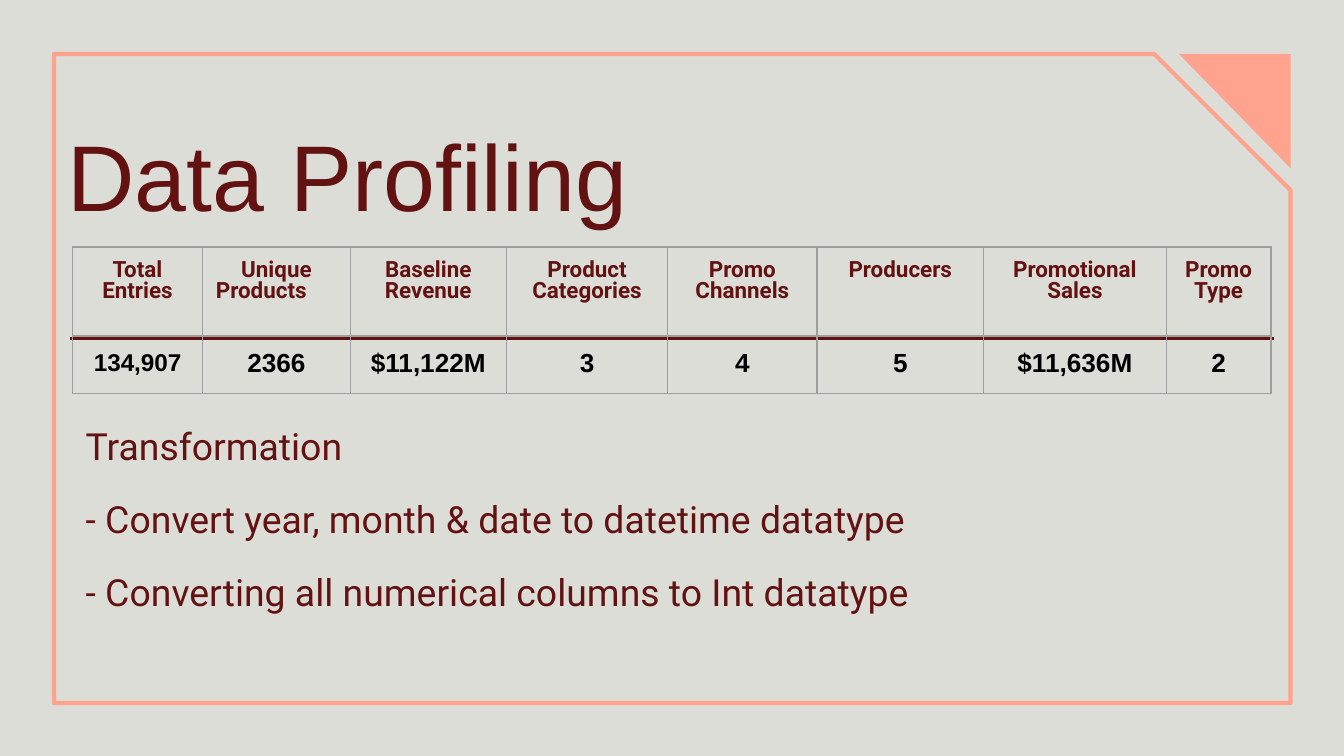
from dataclasses import dataclass
from typing import NamedTuple

from lxml import etree
from pptx import Presentation
from pptx.dml.color import RGBColor
from pptx.enum.shapes import MSO_CONNECTOR, MSO_SHAPE
from pptx.enum.text import MSO_ANCHOR, PP_ALIGN
from pptx.oxml.ns import qn
from pptx.util import Cm, Pt

SNIPPED = MSO_SHAPE.SNIP_1_RECTANGLE
TRIANGLE = MSO_SHAPE.RIGHT_TRIANGLE
STRAIGHT = MSO_CONNECTOR.STRAIGHT
TOP = MSO_ANCHOR.TOP
LEFT, CENTER = PP_ALIGN.LEFT, PP_ALIGN.CENTER


@dataclass(frozen=True)
class Theme:
    paper: str = "DDDDD8"
    coral: str = "FFA38F"
    maroon: str = "631212"
    black: str = "000000"
    grid: str = "9E9E9E"
    title_font: str = "Arial"
    body_font: str = "Roboto"
    title_size: int = 50
    body_size: int = 20
    header_size: int = 12
    value_size: int = 14
    small_value_size: int = 13
    tight: float = 0.8
    inset: float = 0.25


class Area(NamedTuple):
    left: float
    top: float
    width: float
    height: float

    def lengths(self) -> list:
        return [Cm(value) for value in self]


class Style(NamedTuple):
    font: str
    size: int
    color: str
    bold: bool = False
    align: PP_ALIGN = LEFT
    line_spacing: float = 1.0
    gap: float = 0


class Column(NamedTuple):
    heading: str
    value: str
    width: float
    value_size: int


THEME = Theme()
TITLE = Style(THEME.title_font, THEME.title_size, THEME.maroon, line_spacing=THEME.tight)
BODY = Style(THEME.body_font, THEME.body_size, THEME.maroon,
             line_spacing=THEME.tight, gap=19.8)
HEADING = Style(THEME.body_font, THEME.header_size, THEME.maroon, True, CENTER, THEME.tight)
VALUE = Style(THEME.title_font, THEME.value_size, THEME.black, True, CENTER)

COLUMNS = [
    Column("Total Entries", "134,907", 2.46, THEME.small_value_size),
    Column("Unique Products\t", "2366", 2.79, THEME.value_size),
    Column("Baseline Revenue", "$11,122M", 2.95, THEME.value_size),
    Column("Product Categories", "3", 3.05, THEME.value_size),
    Column("Promo Channels", "4", 2.82, THEME.value_size),
    Column("Producers", "5", 3.15, THEME.value_size),
    Column("Promotional Sales", "$11,636M", 3.45, THEME.value_size),
    Column("Promo\nType", "2", 1.98, THEME.value_size),
]
ROW_HEIGHTS = [1.68, 1.07]
TRANSFORMATIONS = [
    "Transformation",
    "- Convert year, month & date to datetime datatype",
    "- Converting all numerical columns to Int datatype",
]


def rgb(color: str) -> RGBColor:
    return RGBColor.from_string(color)


def write(frame, lines: list[str], style: Style) -> None:
    frame.word_wrap = True
    for index, line in enumerate(lines):
        para = frame.paragraphs[0] if index == 0 else frame.add_paragraph()
        para.text = line
        para.alignment = style.align
        para.line_spacing = style.line_spacing
        para.space_before = Pt(style.gap if index else 0)
        para.font.name = style.font
        para.font.size = Pt(style.size)
        para.font.bold = style.bold
        para.font.color.rgb = rgb(style.color)


def set_margins(holder) -> None:
    holder.margin_left = holder.margin_right = Cm(THEME.inset)
    holder.margin_top = holder.margin_bottom = Cm(THEME.inset)


def add_text(page, area: Area, lines: list[str], style: Style):
    frame = page.shapes.add_textbox(*area.lengths()).text_frame
    set_margins(frame)
    frame.vertical_anchor = TOP
    write(frame, lines, style)
    return frame


def add_frame(page, area: Area) -> None:
    frame = page.shapes.add_shape(SNIPPED, *area.lengths())
    frame.shadow.inherit = False
    frame.adjustments[0] = 0.21
    frame.fill.background()
    frame.line.color.rgb = rgb(THEME.coral)
    frame.line.width = Pt(2.25)


def add_corner(page, area: Area) -> None:
    corner = page.shapes.add_shape(TRIANGLE, *area.lengths())
    corner.shadow.inherit = False
    corner.rotation = 180
    corner.fill.solid()
    corner.fill.fore_color.rgb = rgb(THEME.coral)
    corner.line.fill.background()


def add_rule(page, left: float, right: float, top: float) -> None:
    rule = page.shapes.add_connector(STRAIGHT, Cm(left), Cm(top), Cm(right), Cm(top))
    rule.line.color.rgb = rgb(THEME.maroon)
    rule.line.width = Pt(1.5)
    etree.SubElement(rule._element.spPr, qn("a:effectLst"))


def add_borders(cell) -> None:
    properties = cell._tc.get_or_add_tcPr()
    for side in ("lnL", "lnR", "lnT", "lnB"):
        line = etree.SubElement(properties, qn(f"a:{side}"), w=str(Pt(0.75)))
        fill = etree.SubElement(line, qn("a:solidFill"))
        etree.SubElement(fill, qn("a:srgbClr"), val=THEME.grid)


def fill_cell(cell, text: str, style: Style) -> None:
    add_borders(cell)
    cell.fill.background()
    set_margins(cell)
    cell.vertical_anchor = TOP
    write(cell.text_frame, text.split("\n"), style)


def add_profile_table(page, left: float, top: float) -> None:
    area = Area(left, top, sum(column.width for column in COLUMNS), sum(ROW_HEIGHTS))
    table = page.shapes.add_table(len(ROW_HEIGHTS), len(COLUMNS), *area.lengths()).table
    table.first_row = table.horz_banding = False
    for row, height in zip(table.rows, ROW_HEIGHTS):
        row.height = Cm(height)
    for index, column in enumerate(COLUMNS):
        table.columns[index].width = Cm(column.width)
        fill_cell(table.cell(0, index), column.heading, HEADING)
        fill_cell(table.cell(1, index), column.value, VALUE._replace(size=column.value_size))


def main() -> None:
    deck = Presentation()
    deck.slide_width, deck.slide_height = Cm(25.4), Cm(14.29)
    page = deck.slides.add_slide(deck.slide_layouts[6])
    page.background.fill.solid()
    page.background.fill.fore_color.rgb = rgb(THEME.paper)

    add_frame(page, Area(1.02, 1.02, 23.37, 12.27))
    add_rule(page, 1.32, 24.08, 6.4)
    add_corner(page, Area(22.28, 1.02, 2.11, 2.16))
    title = add_text(page, Area(1.02, 2.21, 23.37, 2.03), ["Data Profiling"], TITLE)
    title.margin_top, title.margin_bottom = Cm(0.43), Cm(0)
    add_profile_table(page, 1.37, 4.67)
    add_text(page, Area(1.37, 7.92, 21.31, 3.94), TRANSFORMATIONS, BODY)
    deck.save("out.pptx")


if __name__ == "__main__":
    main()
